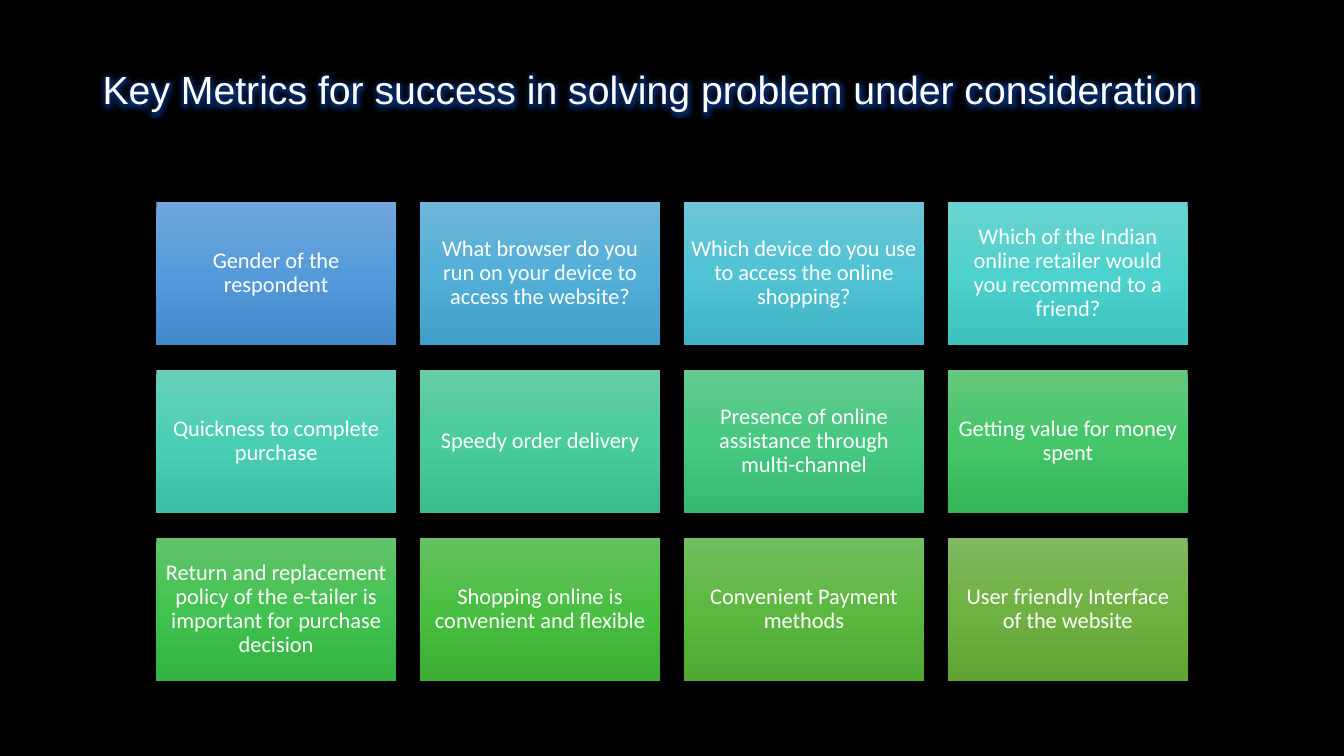
from copy import deepcopy
from dataclasses import dataclass

from pptx import Presentation
from pptx.dml.color import RGBColor
from pptx.enum.shapes import MSO_SHAPE
from pptx.enum.text import MSO_ANCHOR, PP_ALIGN
from pptx.oxml import parse_xml
from pptx.oxml.ns import nsdecls, qn
from pptx.util import Inches, Pt

RECTANGLE = MSO_SHAPE.RECTANGLE
MIDDLE = MSO_ANCHOR.MIDDLE
LEFT, CENTER = PP_ALIGN.LEFT, PP_ALIGN.CENTER


@dataclass(frozen=True)
class Theme:
    background: str = "000000"
    text: str = "FFFFFF"
    glow: str = "1060F0"
    glow_alpha: int = 40
    glow_radius: int = 11
    title_font: str = "Arial"
    title_size: int = 28
    metric_font: str = "Calibri"
    metric_size: int = 16
    line_spacing: float = 0.9


@dataclass(frozen=True)
class Grid:
    left: float
    top: float
    right: float
    bottom: float
    columns: int
    rows: int
    gap: float

    def cell(self, index: int) -> tuple[float, float, float, float]:
        row, column = divmod(index, self.columns)
        width = (self.right - self.left + self.gap) / self.columns - self.gap
        height = (self.bottom - self.top + self.gap) / self.rows - self.gap
        return (self.left + column * (width + self.gap),
                self.top + row * (height + self.gap), width, height)


@dataclass(frozen=True)
class Metric:
    label: str
    shades: tuple[str, str, str]  # top, middle, bottom


THEME = Theme()
METRIC_GRID = Grid(left=1.55, top=2, right=11.78, bottom=6.76,
                   columns=4, rows=3, gap=0.24)
TITLE = "Key Metrics for success in solving problem under consideration"
METRICS = [
    Metric("Gender of the respondent", ("71A6DB", "559BDB", "448ACA")),
    Metric("What browser do you run on your device to access the website?",
           ("6FB6D8", "52AFD8", "429FC7")),
    Metric("Which device do you use to access the online shopping?",
           ("6DC6D5", "50C3D5", "40B3C5")),
    Metric("Which of the Indian online retailer would you recommend to a friend?",
           ("6BD3CF", "4DD2CE", "3EC2BD")),
    Metric("Quickness to complete purchase", ("6AD0B9", "4BCFB4", "3CBFA4")),
    Metric("Speedy order delivery", ("68CDA4", "49CC9A", "3ABC8B")),
    Metric("Presence of online assistance through multi-channel",
           ("66CA90", "46C981", "38B972")),
    Metric("Getting value for money spent", ("65C77D", "44C669", "36B65A")),
    Metric("Return and replacement policy of the e-tailer is important for purchase decision",
           ("64C46C", "42C250", "34B342")),
    Metric("Shopping online is convenient and flexible", ("67C162", "48BF40", "3CAE34")),
    Metric("Convenient Payment methods", ("73BD61", "5DB841", "50A935")),
    Metric("User friendly Interface of the website", ("81B861", "6FB242", "62A336")),
]


def write_text(frame, text: str, font: str, size: int, align, insets: dict):
    """Fill a text frame with one styled paragraph and return its run."""
    frame_format = {"word_wrap": True, "vertical_anchor": MIDDLE}
    frame_format.update({f"margin_{side}": Inches(v) for side, v in insets.items()})
    for name, value in frame_format.items():
        setattr(frame, name, value)
    paragraph = frame.paragraphs[0]
    paragraph.alignment = align
    paragraph.line_spacing = THEME.line_spacing
    run = paragraph.add_run()
    run.text = text
    for name, value in {"name": font, "size": Pt(size)}.items():
        setattr(run.font, name, value)
    run.font.color.rgb = RGBColor.from_string(THEME.text)
    return run


def add_glow(run) -> None:
    glow = parse_xml(
        f'<a:effectLst {nsdecls("a")}><a:glow rad="{Pt(THEME.glow_radius)}">'
        f'<a:srgbClr val="{THEME.glow}"><a:alpha val="{THEME.glow_alpha * 1000}"/>'
        '</a:srgbClr></a:glow></a:effectLst>')
    run.font._element.find(qn("a:solidFill")).addnext(glow)


def add_title(slide) -> None:
    box = slide.shapes.add_textbox(*map(Inches, (0.92, 0.4, 11.5, 1.45)))
    # The deep bottom inset lifts the title above the middle of its box
    insets = {"left": 0.1, "right": 0.1, "top": 0.05, "bottom": 0.47}
    add_glow(write_text(box.text_frame, TITLE, THEME.title_font,
                        THEME.title_size, LEFT, insets))


def shade(shape, shades: tuple[str, str, str]) -> None:
    """Fill a shape with a gradient of evenly spaced shades, top to bottom."""
    shape.fill.gradient()
    shape.fill.gradient_angle = 270
    stop_list = shape._element.spPr.find(qn("a:gradFill")).find(qn("a:gsLst"))
    stop_list.append(deepcopy(stop_list[-1]))
    for i, (stop, colour) in enumerate(zip(shape.fill.gradient_stops, shades)):
        stop.position = i / (len(shades) - 1)
        stop.color.rgb = RGBColor.from_string(colour)


def add_metric(slide, metric: Metric, index: int) -> None:
    tile = slide.shapes.add_shape(RECTANGLE, *map(Inches, METRIC_GRID.cell(index)))
    tile.shadow.inherit = False
    tile.line.fill.background()
    shade(tile, metric.shades)
    insets = dict.fromkeys(("left", "right", "top", "bottom"), 0.07)
    write_text(tile.text_frame, metric.label, THEME.metric_font,
               THEME.metric_size, CENTER, insets)


def main() -> None:
    deck = Presentation()
    deck.slide_width, deck.slide_height = Inches(13.33), Inches(7.5)
    slide = deck.slides.add_slide(deck.slide_layouts[6])

    # Background
    slide.background.fill.solid()
    slide.background.fill.fore_color.rgb = RGBColor.from_string(THEME.background)

    # Title and metric tiles
    add_title(slide)
    for index, metric in enumerate(METRICS):
        add_metric(slide, metric, index)

    deck.save("out.pptx")


if __name__ == "__main__":
    main()
